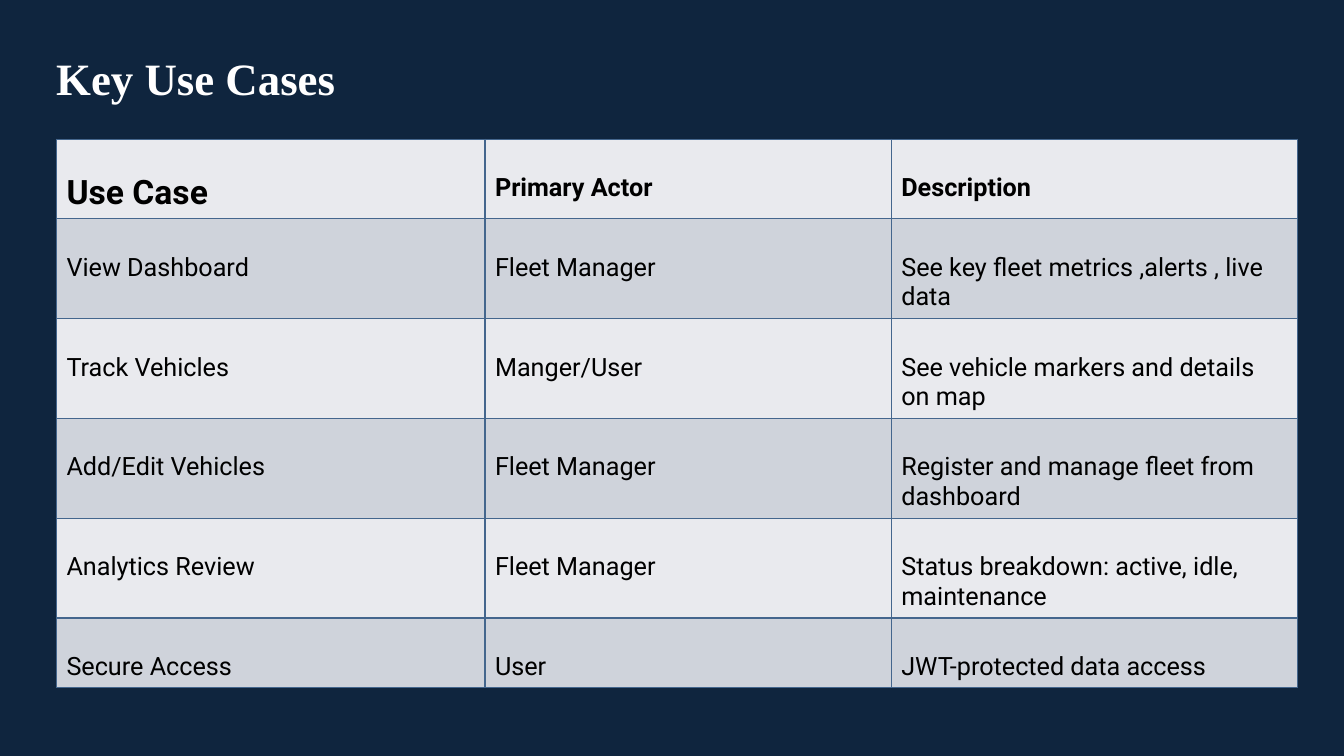
"""Build the slide that lists the key use cases in a table."""
from typing import NamedTuple

from lxml import etree
from pptx import Presentation
from pptx.dml.color import RGBColor
from pptx.enum.text import MSO_ANCHOR
from pptx.oxml.ns import qn
from pptx.slide import Slide
from pptx.table import _Cell
from pptx.text.text import _Paragraph
from pptx.util import Inches, Pt

MIDDLE = MSO_ANCHOR.MIDDLE
TOP = MSO_ANCHOR.TOP
NAVY = RGBColor(0x0F, 0x25, 0x3E)
WHITE = RGBColor(0xFF, 0xFF, 0xFF)
BLACK = RGBColor(0x00, 0x00, 0x00)
LIGHT = RGBColor(0xE9, 0xEA, 0xEE)
GRAY = RGBColor(0xCF, 0xD3, 0xDB)
BLUE = RGBColor(0x44, 0x66, 0x8D)
WIDTHS = (4.25, 4.03, 4.03)
EDGES = ("a:lnL", "a:lnR", "a:lnT", "a:lnB")


class Style(NamedTuple):
    font: str
    size: int
    color: RGBColor
    bold: bool


class Case(NamedTuple):
    name: str
    actor: str
    detail: str
    height: float = 0.99


TITLE = Style("Times New Roman", 32, WHITE, True)
FIRST = Style("Roboto", 24, BLACK, True)
HEAD = Style("Roboto", 18, BLACK, True)
BODY = Style("Roboto", 18, BLACK, False)

CASES = (
    Case("Use Case", "Primary Actor", "Description", 0.79),
    Case("View Dashboard", "Fleet Manager", "See key fleet metrics ,alerts , live data"),
    Case("Track Vehicles", "Manger/User", "See vehicle markers and details on map"),
    Case("Add/Edit Vehicles", "Fleet Manager", "Register and manage fleet from dashboard"),
    Case("Analytics Review", "Fleet Manager", "Status breakdown: active, idle, maintenance"),
    Case("Secure Access", "User", "JWT-protected data access", 0.69),
)


def write(para: _Paragraph, text: str, style: Style) -> None:
    para.text = text
    for run in para.runs:
        run.font.name = style.font
        run.font.size = Pt(style.size)
        run.font.bold = style.bold
        run.font.color.rgb = style.color


def border(cell: _Cell) -> None:
    props = cell._tc.get_or_add_tcPr()
    for spot, edge in enumerate(EDGES):
        line = etree.Element(qn(edge), w=str(Pt(1)))
        fill = etree.SubElement(line, qn("a:solidFill"))
        etree.SubElement(fill, qn("a:srgbClr"), val=str(BLUE))
        props.insert(spot, line)


def add_title(slide: Slide) -> None:
    box = slide.shapes.add_textbox(Inches(0.46), Inches(0), Inches(4.73), Inches(1.6))
    frame = box.text_frame
    frame.word_wrap = True
    frame.vertical_anchor = MIDDLE
    para = frame.paragraphs[0]
    para.line_spacing = 0.9
    write(para, "Key Use Cases", TITLE)


def add_cases(slide: Slide) -> None:
    tall = sum(case.height for case in CASES)
    shape = slide.shapes.add_table(
        len(CASES), len(WIDTHS), Inches(0.56), Inches(1.38),
        Inches(sum(WIDTHS)), Inches(tall))
    table = shape.table
    for col, width in zip(table.columns, WIDTHS):
        col.width = Inches(width)
    for r, case in enumerate(CASES):
        table.rows[r].height = Inches(case.height)
        for c, text in enumerate((case.name, case.actor, case.detail)):
            cell = table.cell(r, c)
            cell.fill.solid()
            cell.fill.fore_color.rgb = GRAY if r % 2 else LIGHT
            cell.margin_top = Inches(0.34)
            cell.vertical_anchor = TOP
            border(cell)
            style = BODY if r else HEAD if c else FIRST
            write(cell.text_frame.paragraphs[0], text, style)


def main() -> None:
    deck = Presentation()
    deck.slide_width = Inches(13.33)
    deck.slide_height = Inches(7.5)
    slide = deck.slides.add_slide(deck.slide_layouts[6])
    slide.background.fill.solid()
    slide.background.fill.fore_color.rgb = NAVY
    add_title(slide)
    add_cases(slide)
    deck.save("out.pptx")


if __name__ == "__main__":
    main()
